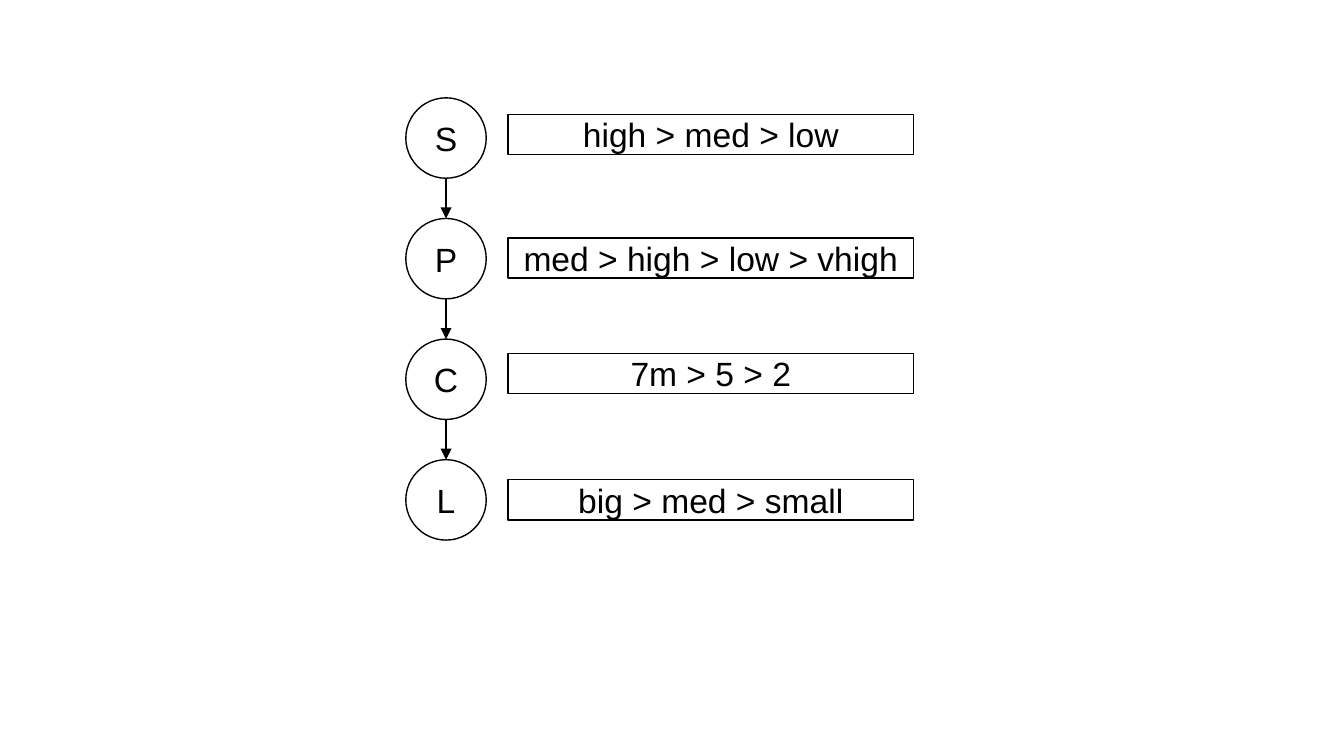
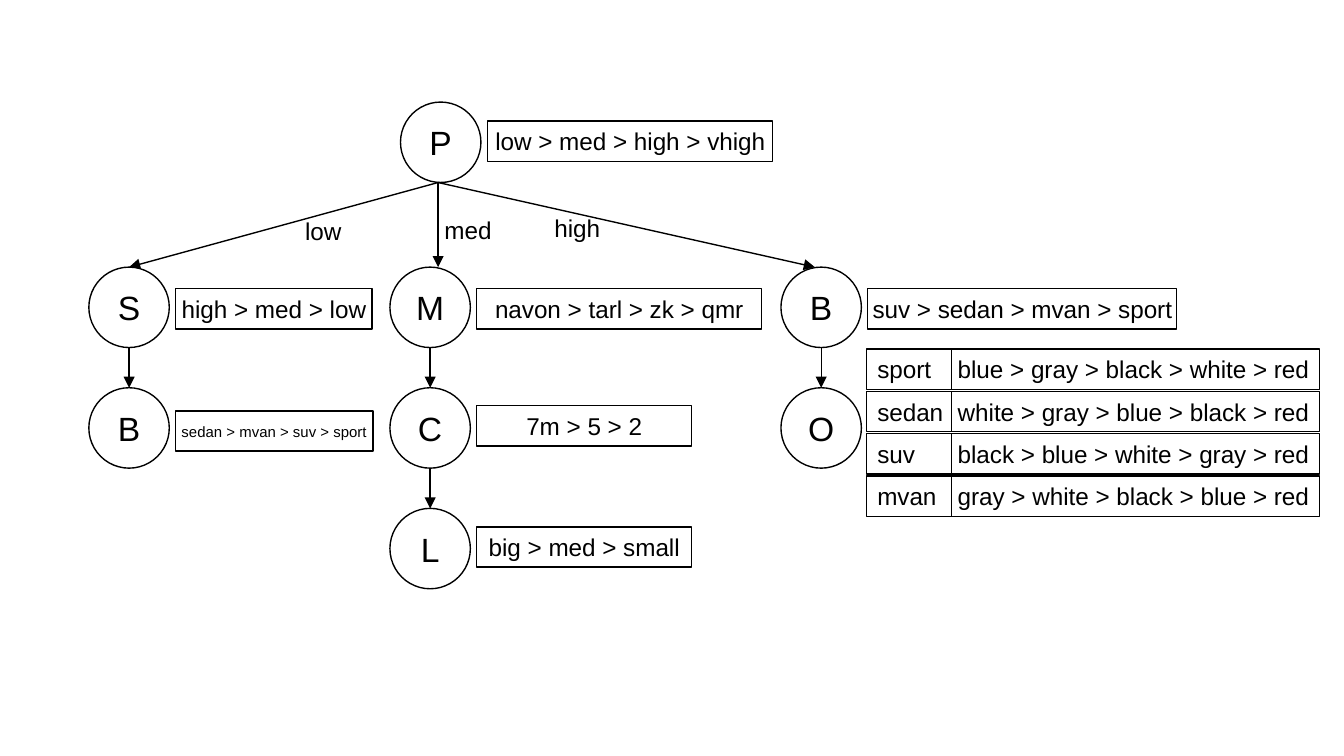
import pptx
import pptx.util
import pptx.dml.color
import pptx.enum.shapes
import pptx.enum.text
import pptx.oxml
import pptx.oxml.ns
import lxml.etree

Cm = pptx.util.Cm
Pt = pptx.util.Pt
OVAL = pptx.enum.shapes.MSO_SHAPE.OVAL
RECTANGLE = pptx.enum.shapes.MSO_SHAPE.RECTANGLE
ALIGN = pptx.enum.text.PP_ALIGN
INK = pptx.dml.color.RGBColor(0x00, 0x00, 0x00)
PAPER = pptx.dml.color.RGBColor(0xFF, 0xFF, 0xFF)
FONT = "Arial"
NODE = 1.52
BOX_HEIGHT = 0.76
LEVEL_STEP = 2.28


def add_box(slide, kind, left, top, width, height, text, size, outlined=True):
    box = slide.shapes.add_shape(kind, Cm(left), Cm(top), Cm(width), Cm(height))
    box.shadow.inherit = False
    box.fill.solid()
    box.fill.fore_color.rgb = PAPER
    if outlined:
        box.line.color.rgb = INK
        box.line.width = Pt(0.75)
    else:
        box.line.fill.background()
    frame = box.text_frame
    frame.word_wrap = False
    frame.vertical_anchor = pptx.enum.text.MSO_ANCHOR.MIDDLE
    paragraph = frame.paragraphs[0]
    paragraph.text = text
    paragraph.alignment = ALIGN.CENTER
    paragraph.font.name = FONT
    paragraph.font.size = Pt(size)
    paragraph.font.color.rgb = INK
    return box


def add_link(slide, x1, y1, x2, y2, arrow=True):
    link = slide.shapes.add_connector(
        pptx.enum.shapes.MSO_CONNECTOR.STRAIGHT, Cm(x1), Cm(y1), Cm(x2), Cm(y2))
    link.line.color.rgb = INK
    link.line.width = Pt(0.75)
    if arrow:
        outline = link.line._get_or_add_ln()
        lxml.etree.SubElement(outline, pptx.oxml.ns.qn("a:tailEnd"), type="triangle")
    lxml.etree.SubElement(link._element.spPr, pptx.oxml.ns.qn("a:effectLst"))
    return link


deck = pptx.Presentation()
deck.slide_width = Cm(25.4)
deck.slide_height = Cm(14.29)
blank = deck.slide_layouts[6]

chain_slide = deck.slides.add_slide(blank)
chain = [
    ("S", "high > med > low", 2.16),
    ("P", "med > high > low > vhigh", 4.5),
    ("C", "7m > 5 > 2", 6.68),
    ("L", "big > med > small", 9.07),
]
chain_left = 7.67
for level, (letter, ranking, ranking_top) in enumerate(chain):
    top = 1.85 + level * LEVEL_STEP
    node = add_box(chain_slide, OVAL, chain_left, top, NODE, NODE, letter, 18)
    add_box(chain_slide, RECTANGLE, 9.6, ranking_top, 7.67, BOX_HEIGHT, ranking, 18)
    if level:
        center = chain_left + NODE / 2
        arrow = add_link(chain_slide, center, top - LEVEL_STEP + NODE, center, top)
        arrow.end_connect(node, 0)

tree_slide = deck.slides.add_slide(blank)
root_top = 1.93
branch_top = 5.05
add_box(tree_slide, OVAL, 7.57, root_top, NODE, NODE, "P", 18)
add_box(tree_slide, RECTANGLE, 9.22, 2.29, 5.38, BOX_HEIGHT, "low > med > high > vhigh", 13)

for target in (2.44, 8.28, 15.4):
    add_link(tree_slide, 8.28, root_top + NODE, target, branch_top)
for label, left, top, width, height in (
    ("low", 5.64, 4.22, 0.94, 0.3),
    ("med", 8.36, 4.17, 0.97, 0.33),
    ("high", 10.39, 4.22, 1.04, 0.18),
):
    add_box(tree_slide, RECTANGLE, left, top, width, height, label, 13, outlined=False)

branches = [
    (1.68, [("S", "high > med > low", 5.46, 3.71, 13),
            ("B", "sedan > mvan > suv > sport", 7.77, 3.73, 8)]),
    (7.37, [("M", "navon > tarl > zk > qmr", 5.46, 5.38, 13),
            ("C", "7m > 5 > 2", 7.67, 4.06, 13),
            ("L", "big > med > small", 9.96, 4.06, 13)]),
    (14.76, [("B", "suv > sedan > mvan > sport", 5.46, 5.84, 13),
             ("O", None, None, None, None)]),
]
for branch_left, nodes in branches:
    center = branch_left + NODE / 2
    for level, (letter, ranking, ranking_top, width, size) in enumerate(nodes):
        top = branch_top + level * LEVEL_STEP
        node = add_box(tree_slide, OVAL, branch_left, top, NODE, NODE, letter, 18)
        if ranking:
            add_box(tree_slide, RECTANGLE, branch_left + 1.64, ranking_top,
                    width, BOX_HEIGHT, ranking, size)
        if level:
            arrow = add_link(tree_slide, center, top - LEVEL_STEP + NODE, center, top)
            arrow.end_connect(node, 0)

color_rankings = [
    ("sport", "blue > gray > black > white > red"),
    ("sedan", "white > gray > blue > black > red"),
    ("suv", "black > blue > white > gray > red"),
    ("mvan", "gray > white > black > blue > red"),
]
for row, (body, colors) in enumerate(color_rankings):
    top = 6.6 + row * 0.8
    condition = add_box(tree_slide, RECTANGLE, 16.38, top, 8.56, BOX_HEIGHT,
                        body + "\t" + colors, 13)
    condition.text_frame.word_wrap = True
    condition.text_frame.margin_left = Cm(0.2)
    condition.text_frame.margin_right = 0
    paragraph = condition.text_frame.paragraphs[0]
    paragraph.alignment = ALIGN.LEFT
    tab_stops = pptx.oxml.parse_xml(
        f'<a:tabLst {pptx.oxml.ns.nsdecls("a")}><a:tab pos="{Cm(1.52)}" algn="l"/></a:tabLst>')
    paragraph._p.get_or_add_pPr().insert(0, tab_stops)
    add_link(tree_slide, 17.98, top, 17.98, top + BOX_HEIGHT, arrow=False)

deck.save("out.pptx")
